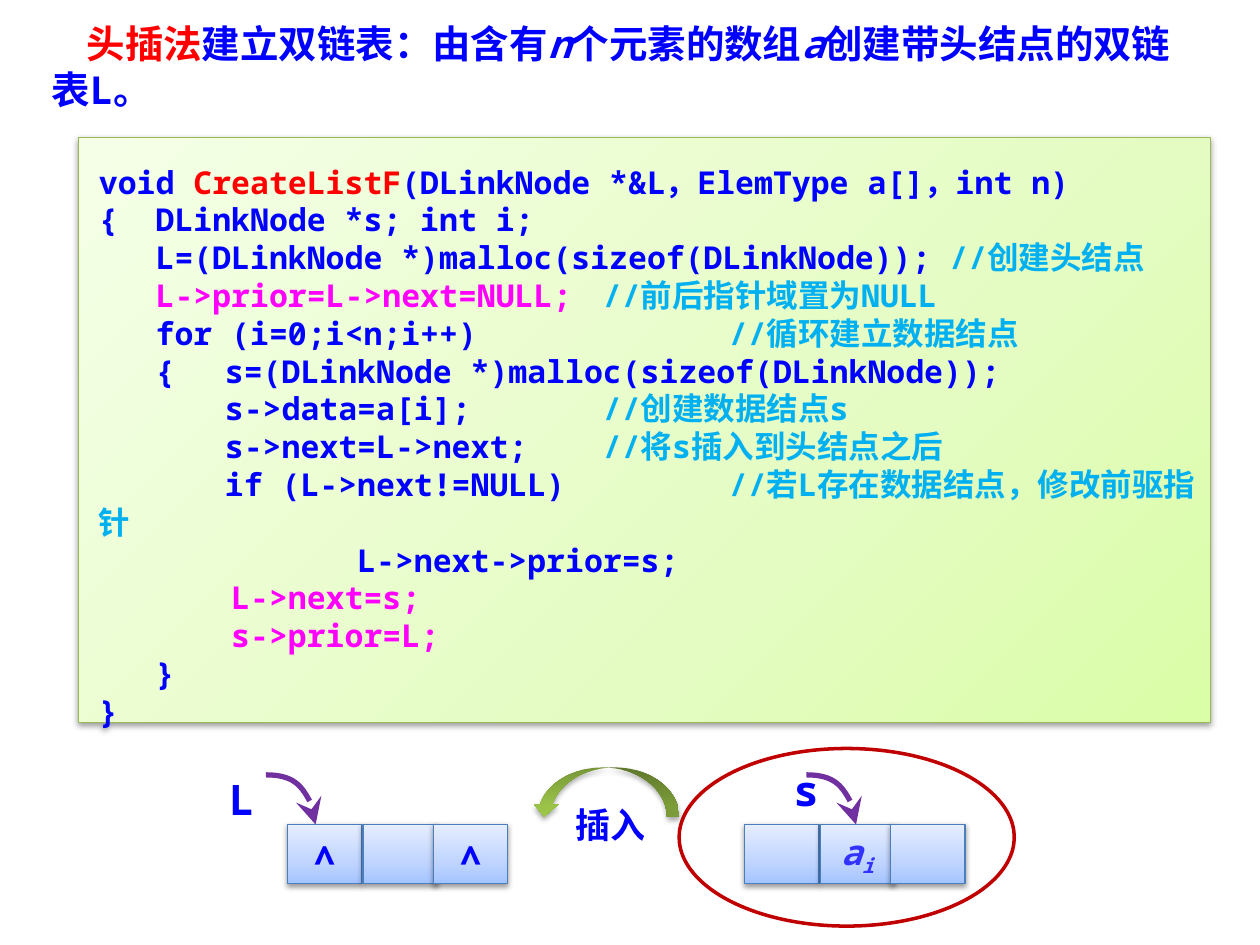
from lxml.etree import SubElement
from pptx import Presentation
from pptx.dml.color import RGBColor
from pptx.enum.shapes import MSO_SHAPE
from pptx.enum.text import MSO_ANCHOR, PP_ALIGN
from pptx.oxml.ns import qn
from pptx.util import Pt

FONT = "Noto Sans Mono"
BLUE, RED, PINK, CYAN = "0000FF", "FF0000", "FF00FF", "00B0F0"
CODE = [
    [("void ", BLUE), ("CreateListF", RED), ("(DLinkNode *&L，ElemType a[]，int n)", BLUE)],
    [("{  DLinkNode *s; int i;", BLUE)],
    [("   L=(DLinkNode *)malloc(sizeof(DLinkNode)); ", BLUE), ("//创建头结点", CYAN)],
    [("   L->prior=L->next=NULL;\t", PINK), ("//前后指针域置为NULL", CYAN)],
    [("   for (i=0;i<n;i++)\t\t", BLUE), ("//循环建立数据结点", CYAN)],
    [("   {\ts=(DLinkNode *)malloc(sizeof(DLinkNode));", BLUE)],
    [("\ts->data=a[i];\t\t", BLUE), ("//创建数据结点s", CYAN)],
    [("\ts->next=L->next;\t", BLUE), ("//将s插入到头结点之后", CYAN)],
    [("\tif (L->next!=NULL)   \t", BLUE), ("//若L存在数据结点，修改前驱指针", CYAN)],
    [("  \t       L->next->prior=s;", BLUE)],
    [("       L->next=s;", PINK)],
    [("       s->prior=L;", PINK)],
    [("   }", BLUE)],
    [("}", BLUE)],
]
NODE_STOPS = [(0, "A4C4FF"), (35, "BFD4FF"), (100, "E6EEFF")]
CODE_STOPS = [(0, "DAFDA7"), (35, "E4FCC2"), (100, "F5FFE7")]
INSERT_STOPS = [(0, "779737"), (80, "9BC348"), (100, "9DC746")]


def rgb(value):
    return RGBColor.from_string(value)


def add(parent, tag, **attributes):
    return SubElement(parent, qn(tag), {key: str(value) for key, value in attributes.items()})


def write(frame, paragraphs, size=20, align=PP_ALIGN.LEFT, anchor=MSO_ANCHOR.TOP,
          wrap=True, tab_count=0):
    frame.word_wrap = wrap
    frame.vertical_anchor = anchor
    for index, pieces in enumerate(paragraphs):
        paragraph = frame.add_paragraph() if index else frame.paragraphs[0]
        paragraph.alignment = align
        if tab_count:
            tabs = add(paragraph._p.get_or_add_pPr(), "a:tabLst")
            for stop in range(1, tab_count + 1):
                add(tabs, "a:tab", pos=Pt(72 * stop), algn="l")
        for text, color, *style in pieces:
            run = paragraph.add_run()
            run.text = text
            font = run.font
            font.name, font.size, font.bold = FONT, Pt(size), True
            font.italic = "italic" in style
            font.color.rgb = rgb(color)
            if "subscript" in style:
                run._r.get_or_add_rPr().set("baseline", "-25000")


def paint(shape, stops, line=None, focus=None, shadow_alpha=38, shadow_distance=1.6):
    shape.fill.gradient()
    gradient = shape._element.spPr.find(qn("a:gradFill"))
    for child in list(gradient):
        gradient.remove(child)
    stop_list = add(gradient, "a:gsLst")
    for position, color in stops:
        add(add(stop_list, "a:gs", pos=position * 1000), "a:srgbClr", val=color)
    if focus:
        add(add(gradient, "a:path", path="circle"), "a:fillToRect", **focus)
    else:
        add(gradient, "a:lin", ang=16200000, scaled=0)
    if line:
        shape.line.color.rgb = rgb(line)
        shape.line.width = Pt(0.75)
    else:
        shape.line.fill.background()
    shape.shadow.inherit = False
    shadow = add(shape._element.spPr.find(qn("a:effectLst")), "a:outerShdw", blurRad=Pt(3.1),
                 dist=Pt(shadow_distance), dir=5400000, rotWithShape=0)
    add(add(shadow, "a:srgbClr", val="000000"), "a:alpha", val=shadow_alpha * 1000)


def add_label(shapes, text, left, top, width, height, **style):
    label = shapes.add_textbox(Pt(left), Pt(top), Pt(width), Pt(height))
    write(label.text_frame, [[(text, BLUE)]], **style)


def add_pointer(shapes, left, top, size):
    builder = shapes.build_freeform(Pt(left), Pt(top))
    builder.add_line_segments([(Pt(left + size), Pt(top + size))], close=False)
    pointer = builder.convert_to_shape()
    pointer.fill.background()
    pointer.line.color.rgb = rgb("7030A0")
    pointer.line.width = Pt(3)
    pointer.shadow.inherit = False
    properties = pointer._element.spPr
    add(properties.find(qn("a:ln")), "a:tailEnd", type="stealth", w="lg", len="lg")
    segment = next(properties.iter(qn("a:lnTo")))
    outline = segment.getparent()
    outline.remove(segment)
    curve = add(outline, "a:cubicBezTo")
    for x, y in [(0.55, 0), (1, 0.45), (1, 1)]:
        add(curve, "a:pt", x=Pt(size * x), y=Pt(size * y))


def add_title(slide, left, top, width, height):
    title = slide.shapes.title
    title.left, title.top, title.width, title.height = Pt(left), Pt(top), Pt(width), Pt(height)
    write(title.text_frame, [[
        ("头插法", RED), ("建立双链表：由含有", BLUE), ("n", BLUE, "italic"),
        ("个元素的数组", BLUE), ("a", BLUE, "italic"), ("创建带头结点的双链表L。", BLUE),
    ]], size=22)
    title.text_frame.paragraphs[0]._p.get_or_add_pPr().set("indent", str(Pt(20)))


def add_code(slide, left, top, width, height):
    code = slide.shapes.add_shape(MSO_SHAPE.RECTANGLE, Pt(left), Pt(top), Pt(width), Pt(height))
    paint(code, CODE_STOPS, line="98B955", focus=dict(l=100000, t=100000, r=0, b=0))
    frame = code.text_frame
    frame.margin_left, frame.margin_right = Pt(11.5), Pt(7.2)
    frame.margin_top = frame.margin_bottom = Pt(14.4)
    write(frame, CODE, size=18, tab_count=8)


def add_node(slide, left, top, name, fields, label_at, pointer_at):
    shapes = slide.shapes.add_group_shape().shapes
    for offset, field in zip((0, 43.2, 83.5), fields):
        cell = shapes.add_shape(MSO_SHAPE.RECTANGLE, Pt(left + offset), Pt(top), Pt(42.5), Pt(34))
        paint(cell, NODE_STOPS, line="4B7EBC")
        if field:
            write(cell.text_frame, [field], align=PP_ALIGN.CENTER,
                  anchor=MSO_ANCHOR.MIDDLE, wrap=False)
    add_pointer(shapes, left + pointer_at, top - 28.2, 28.4)
    label_left, label_top = label_at
    add_label(shapes, name, left + label_left, top + label_top, 34, 36, size=24)


def add_insertion(slide, left, top, width, height):
    shapes = slide.shapes.add_group_shape().shapes
    ring_left = left + 84.2
    ring = shapes.add_shape(MSO_SHAPE.OVAL, Pt(ring_left), Pt(top),
                            Pt(width - 84.2), Pt(height))
    ring.fill.background()
    ring.line.color.rgb = rgb("C00000")
    ring.line.width = Pt(2)
    ring.shadow.inherit = False
    arrow = shapes.add_shape(MSO_SHAPE.CURVED_UP_ARROW, Pt(left), Pt(top + 10.8),
                             Pt(84.2), Pt(28.1))
    arrow.rotation = 180
    paint(arrow, INSERT_STOPS, shadow_alpha=35, shadow_distance=1.8)
    add_label(shapes, "插入", left + 5.8, top + 28.1, 78.5, 31.5, align=PP_ALIGN.CENTER)


def main():
    presentation = Presentation()
    presentation.slide_width, presentation.slide_height = Pt(720), Pt(540)
    slide = presentation.slides.add_slide(presentation.slide_layouts[5])
    add_title(slide, 22.3, 8, 664, 60.5)
    add_code(slide, 45, 78.5, 646.6, 334.3)
    end = [("∧", BLUE)]
    element = [("a", "3333FF", "italic"), ("i", "3333FF", "italic", "subscript")]
    add_node(slide, 164.2, 471, "L", (end, None, end), (-40.4, -32.5), -12.2)
    add_node(slide, 425.5, 471, "s", (None, element, None), (20.9, -37.6), 35.3)
    add_insertion(slide, 303.9, 427.7, 275.7, 101.5)
    presentation.save("out.pptx")


if __name__ == "__main__":
    main()
